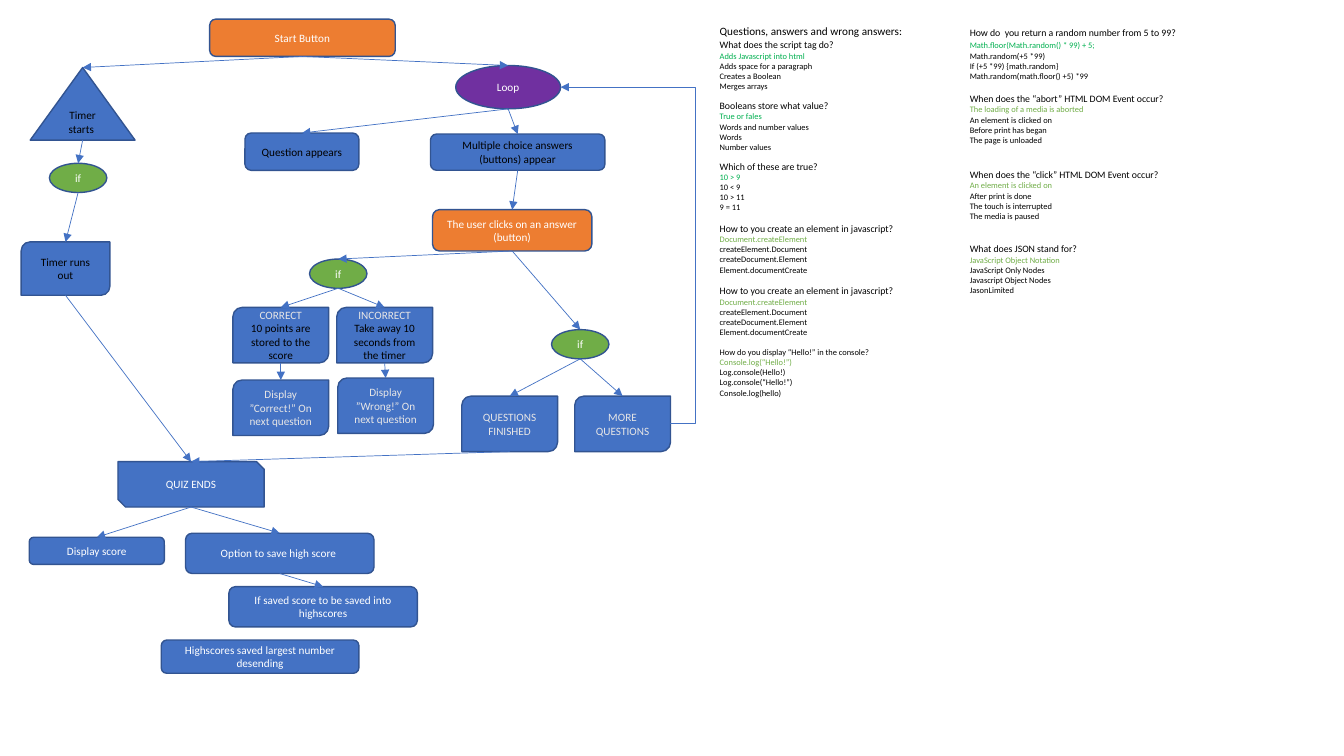
from lxml.etree import SubElement
from pptx import Presentation
from pptx.dml.color import RGBColor
from pptx.enum.shapes import MSO_CONNECTOR, MSO_SHAPE
from pptx.enum.text import MSO_ANCHOR, MSO_AUTO_SIZE, PP_ALIGN
from pptx.oxml.ns import qn
from pptx.util import Inches, Pt

HUES = {"blue": "4472C4", "edge": "325491", "orange": "ED7D31", "leaf": "70AD47",
        "violet": "7030A0", "green": "00B050", "white": "FFFFFF",
        "pale": "E7E6E6", "black": "000000"}
FONT = "Calibri"
ROUND, OVAL = MSO_SHAPE.ROUNDED_RECTANGLE, MSO_SHAPE.OVAL
DIAG, SNIP = MSO_SHAPE.ROUND_2_DIAG_RECTANGLE, MSO_SHAPE.SNIP_2_DIAG_RECTANGLE
CARD, TEST, SAVE = (0.95, 0.55), (0.57, 0.29), (1.87, 0.4)

# Flow nodes: shape, left, top, size, fill, ink, text
NODES = {
    "start": (ROUND, 2.08, 0.19, (1.84, 0.37), "orange", "white", "Start Button"),
    "timer": (MSO_SHAPE.ISOSCELES_TRIANGLE, 0.3, 0.67, (1.04, 0.72), "blue", "black",
              "Timer starts "),
    "loop": (OVAL, 4.52, 0.65, (1.04, 0.43), "violet", "white", "Loop"),
    "ask": (ROUND, 2.43, 1.32, (1.13, 0.37), "blue", "black", "Question appears"),
    "choice": (ROUND, 4.27, 1.33, (1.73, 0.36), "blue", "black",
               "Multiple choice answers (buttons) appear"),
    "click": (ROUND, 4.29, 2.08, (1.58, 0.41), "orange", "white",
              "The user clicks on an answer (button)"),
    "if time": (OVAL, 0.49, 1.62, TEST, "leaf", "white", "if"),
    "if right": (OVAL, 3.07, 2.57, TEST, "leaf", "white", "if"),
    "if done": (OVAL, 5.47, 3.27, TEST, "leaf", "white", "if"),
    "time out": (DIAG, 0.21, 2.4, (0.88, 0.53), "blue", "black", "Timer runs out"),
    "right": (DIAG, 2.31, 3.05, CARD, "blue", "pale",
              "CORRECT\n10 points are stored to the score"),
    "wrong": (DIAG, 3.34, 3.05, CARD, "blue", "pale",
              "INCORRECT\nTake away 10 seconds from the timer"),
    "show right": (DIAG, 2.31, 3.77, CARD, "blue", "pale",
                   "Display ”Correct!” On next question"),
    "show wrong": (DIAG, 3.35, 3.75, CARD, "blue", "pale",
                   "Display ”Wrong!” On next question"),
    "done": (DIAG, 4.58, 3.93, CARD, "blue", "pale", "QUESTIONS FINISHED"),
    "more": (DIAG, 5.7, 3.93, CARD, "blue", "pale", "MORE QUESTIONS"),
    "end": (SNIP, 1.17, 4.58, (1.45, 0.45), "blue", "white", "QUIZ ENDS"),
    "score": (ROUND, 0.29, 5.33, (1.34, 0.27), "blue", "white", "Display score"),
    "option": (ROUND, 1.84, 5.29, SAVE, "blue", "white", "Option to save high score "),
    "saved": (ROUND, 2.27, 5.82, SAVE, "blue", "white",
              "If saved score to be saved into highscores"),
    "list": (ROUND, 1.6, 6.35, (1.96, 0.33), "blue", "white",
             "Highscores saved largest number desending"),
}

# Each arrow runs from the foot of one node to the top of the next
LINKS = [("start", "timer"), ("start", "loop"), ("loop", "ask"), ("loop", "choice"),
         ("choice", "click"), ("click", "if right"), ("click", "if done"),
         ("if right", "right"), ("if right", "wrong"), ("right", "show right"),
         ("wrong", "show wrong"), ("if done", "done"), ("if done", "more"),
         ("timer", "if time"), ("if time", "time out"), ("time out", "end"),
         ("done", "end"), ("end", "score"), ("end", "option"), ("option", "saved")]

MAKE = ("How to you create an element in javascript?", 7, 7.3, 0, "leaf",
        ["Document.createElement", "createElement.Document", "createDocument.Element",
         "Element.documentCreate"])

# Quiz notes: question, size, gap above, gap below, hue of right answer, answers
FIRST = [
    ("What does the script tag do?", 7, 1.2, 0, "green",
     ["Adds Javascript into html", "Adds space for a paragraph", "Creates a Boolean",
      "Merges arrays"]),
    ("Booleans store what value?", 7, 6.1, 0, "green",
     ["True or fales", "Words and number values", "Words", "Number values"]),
    ("Which of these are true?", 7, 6.1, 0, "green",
     ["10 > 9", "10 < 9", "10 > 11", "9 = 11"]),
    MAKE,
    MAKE,
    ("How do you display “Hello!” in the console?", 6, 7.3, 0, "leaf",
     ["Console.log(“Hello!”)", "Log.console(Hello!)", "Log.console(“Hello!”)",
      "Console.log(hello)"]),
]
SECOND = [
    ("How do  you return a random number from 5 to 99?", 7, 0, 1.2, "green",
     ["Math.floor(Math.random() * 99) + 5;", "Math.random(+5 *99)",
      "If (+5 *99) {math.random}", "Math.random(math.floor() +5) *99"]),
    ("When does the “abort” HTML DOM Event occur?", 7, 8.5, 0, "leaf",
     ["The loading of a media is aborted", "An element is clicked on",
      "Before print has began", "The page is unloaded"]),
    ("When does the “click” HTML DOM Event occur?", 7, 17.1, 0, "leaf",
     ["An element is clicked on", "After print is done", "The touch is interrupted",
      "The media is paused"]),
    ("What does JSON stand for?", 7, 15.9, 0, "leaf",
     ["JavaScript Object Notation", "JavaScript Only Nodes", "Javascript Object Nodes",
      "JasonLimited"]),
]


def hue(name):
    return RGBColor.from_string(HUES[name])


def style(item, form):
    for key, value in form.items():
        setattr(item, key, value)


def write(frame, lines):
    """Fill a frame with (text, size, ink, paragraph format) lines."""
    for i, (text, size, ink, form) in enumerate(lines):
        para = frame.add_paragraph() if i else frame.paragraphs[0]
        style(para, form)
        run = para.add_run()
        run.text = text
        style(run.font, {"name": FONT, "size": Pt(size)})
        run.font.color.rgb = hue(ink)


def node(slide, box, kind, left, top, size, fill, ink, text):
    shape = slide.shapes.add_shape(
        kind, *map(Inches, (box[0] + left, box[1] + top, *size)))
    shape.shadow.inherit = False
    shape.fill.solid()
    shape.fill.fore_color.rgb = hue(fill)
    shape.line.color.rgb = hue("edge")
    shape.line.width = Pt(1)
    style(shape.text_frame, {"word_wrap": True, "vertical_anchor": MSO_ANCHOR.MIDDLE})
    write(shape.text_frame, [(line, 8, "black" if i else ink, {"alignment": PP_ALIGN.CENTER})
                             for i, line in enumerate(text.split("\n"))])
    return shape


def arrow(slide, kind, start, stop):
    link = slide.shapes.add_connector(kind, *start, *stop)
    link.line.color.rgb = hue("blue")
    link.line.width = Pt(0.5)
    SubElement(link.line._get_or_add_ln(), qn("a:tailEnd"), type="triangle")
    SubElement(link._element.spPr, qn("a:effectLst"))
    return link


def port(shape, across, down):
    """Point on a shape, as shares of its width and height."""
    return (int(shape.left + shape.width * across), int(shape.top + shape.height * down))


def flow(slide, box):
    parts = {name: node(slide, box, *spec) for name, spec in NODES.items()}
    for head, tail in LINKS:
        arrow(slide, MSO_CONNECTOR.STRAIGHT,
              port(parts[head], 0.5, 1), port(parts[tail], 0.5, 0))
    # Way back to the loop, bent out to the right of the last card
    back = arrow(slide, MSO_CONNECTOR.ELBOW,
                 port(parts["more"], 1, 0.5), port(parts["loop"], 1, 0.5))
    bend = -round(Inches(0.25) / back.width * 100000)
    guides = back._element.spPr.find(qn("a:prstGeom")).get_or_add_avLst()
    SubElement(guides, qn("a:gd"), name="adj1", fmla=f"val {bend}")


def notes(slide, box, quiz, title=None):
    frame = slide.shapes.add_textbox(*map(Inches, box)).text_frame
    style(frame, {"word_wrap": True, "auto_size": MSO_AUTO_SIZE.SHAPE_TO_FIT_TEXT})
    lines = [(title, 8, "black", {})] if title else []
    for ask, size, above, below, ink, answers in quiz:
        lines.append((ask, size, "black",
                      {"space_before": Pt(above), "space_after": Pt(below)}))
        lines += [(text, 6, "black" if i else ink, {}) for i, text in enumerate(answers)]
    write(frame, lines)


def main():
    deck = Presentation()
    style(deck, {"slide_width": Inches(13.33), "slide_height": Inches(7.5)})
    slide = deck.slides.add_slide(deck.slide_layouts[6])
    flow(slide, (0, 0))
    notes(slide, (7.04, 0.19, 2.77, 3.84), FIRST, "Questions, answers and wrong answers:")
    notes(slide, (9.52, 0.22, 2.77, 2.98), SECOND)
    deck.save("out.pptx")


if __name__ == "__main__":
    main()
